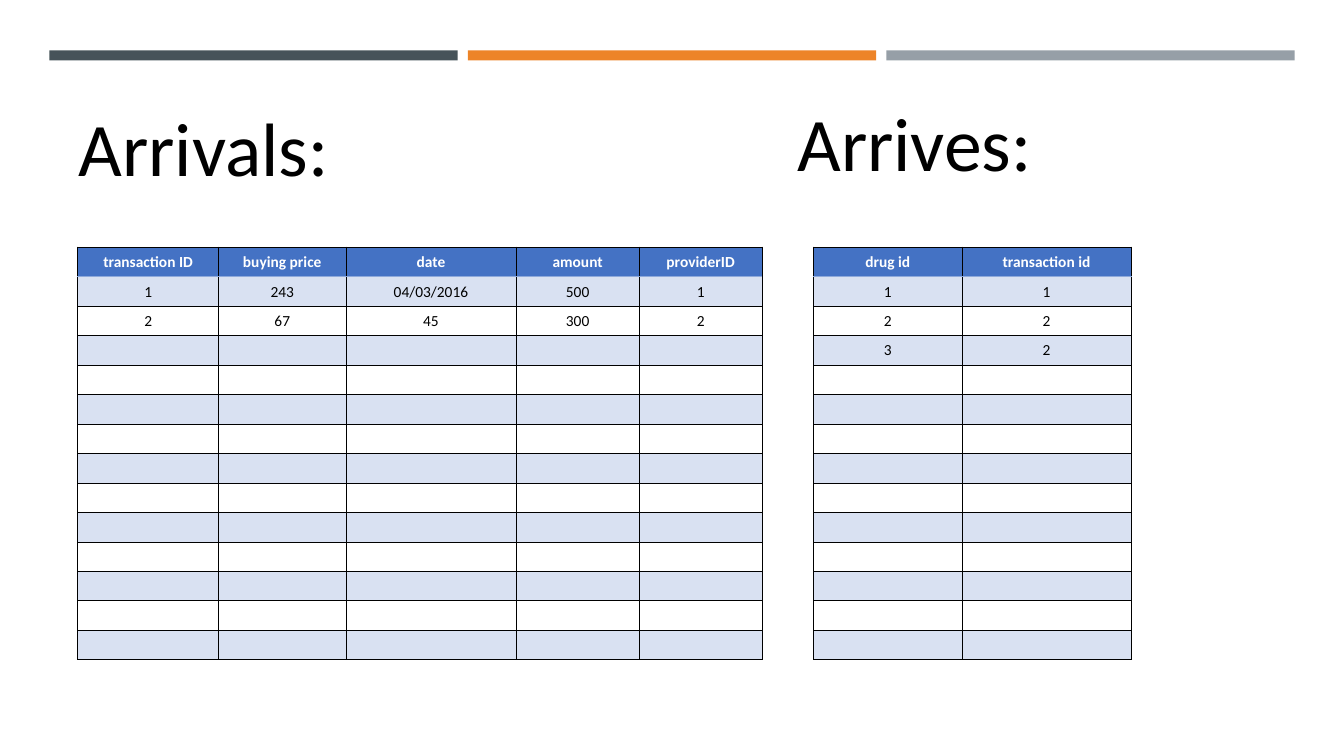
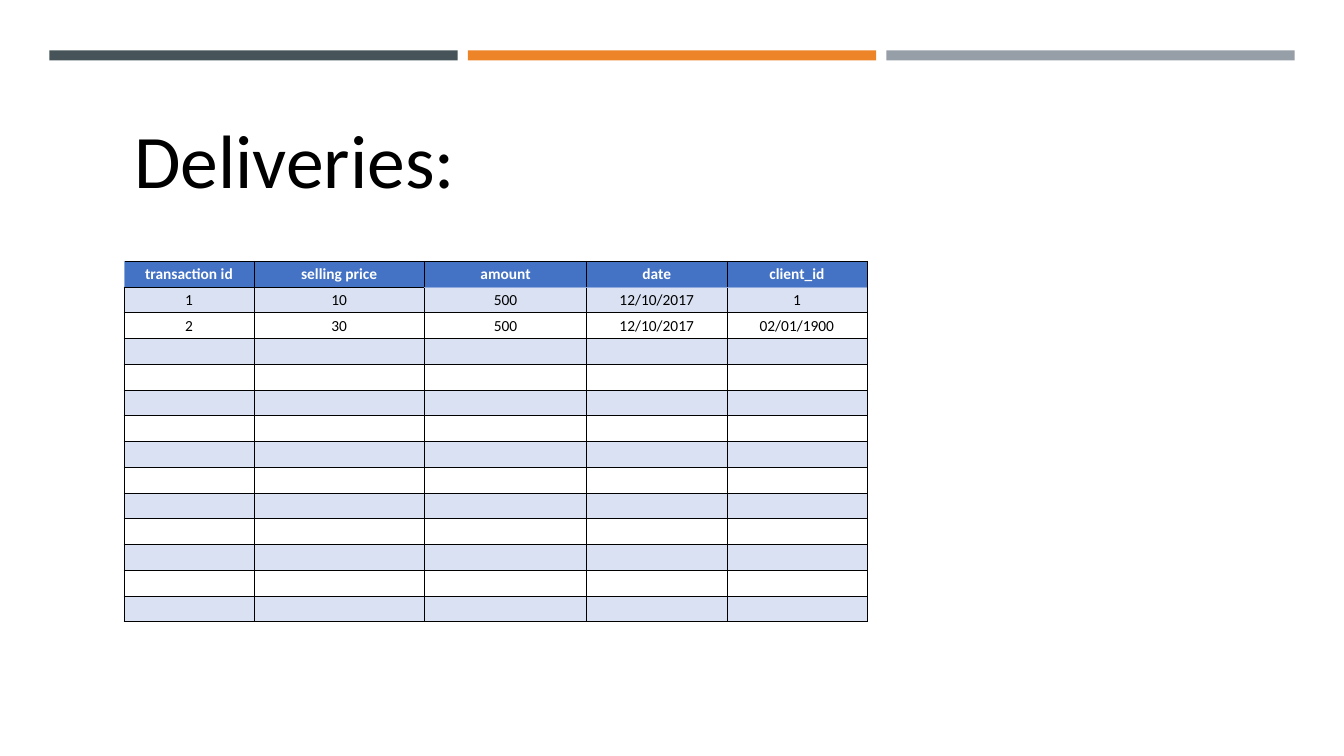
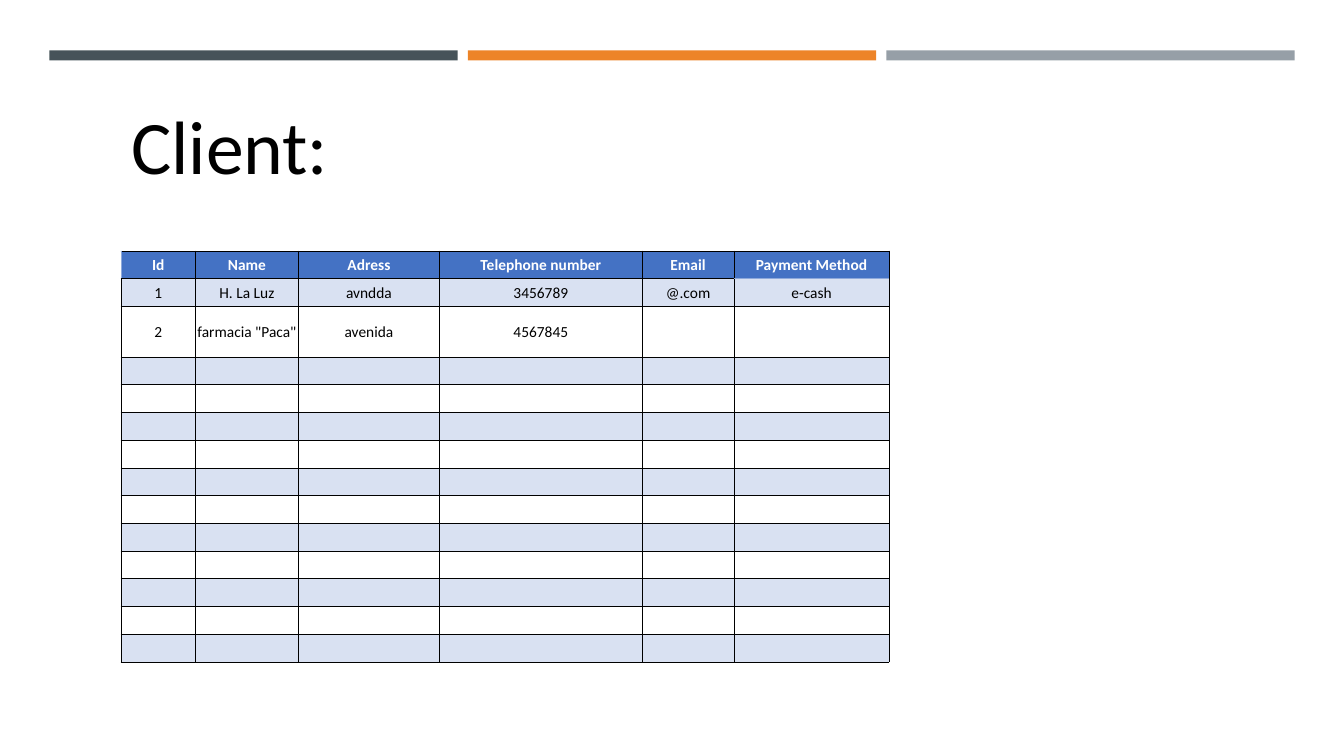
from dataclasses import dataclass

from lxml import etree
from pptx import Presentation
from pptx.dml.color import RGBColor
from pptx.enum.shapes import MSO_SHAPE
from pptx.enum.text import MSO_ANCHOR, MSO_AUTO_SIZE, PP_ALIGN
from pptx.oxml.ns import qn
from pptx.util import Inches, Pt

RECTANGLE = MSO_SHAPE.RECTANGLE
TOP, MIDDLE = MSO_ANCHOR.TOP, MSO_ANCHOR.MIDDLE
LEFT, CENTER = PP_ALIGN.LEFT, PP_ALIGN.CENTER
FIXED_SIZE = MSO_AUTO_SIZE.NONE


@dataclass(frozen=True)
class Theme:
    font: str = "Calibri"
    heading_size: int = 54
    cell_size: int = 11
    border_width: float = 0.5
    bands: tuple = ("465359", "ED8428", "969FA7")
    text: str = "000000"
    header_text: str = "FFFFFF"
    header_fill: str = "4472C4"
    row_fills: tuple = ("FFFFFF", "D9E1F2")
    border: str = "000000"
    soft_border: str = "8EA9DB"


THEME = Theme()
ROW_COUNT = 14
HEADING_HEIGHT = 1.01

# Each table: heading and its left, top, width; table left, top, height;
# column widths; text rows; columns with a soft line under the header;
# whether the header starts with a soft left line; heights of special rows.
PAGES = [
    [
        dict(
            heading="Arrivals:", heading_at=(0.68, 0.95, 2.9),
            at=(0.77, 2.45), height=4.1,
            columns=[1.4, 1.26, 1.69, 1.22, 1.22],
            rows=[
                ["transaction ID", "buying price", "date", "amount", "providerID"],
                ["1", "243", "04/03/2016", "500", "1"],
                ["2", "67", "45", "300", "2"],
            ],
            soft_columns={0, 1, 2, 3, 4}, soft_left=False, tall_rows={},
        ),
        dict(
            heading="Arrives:", heading_at=(7.81, 0.9, 2.7),
            at=(8.07, 2.45), height=4.1,
            columns=[1.47, 1.68],
            rows=[["drug id", "transaction id"], ["1", "1"], ["2", "2"], ["3", "2"]],
            soft_columns={0, 1}, soft_left=False, tall_rows={},
        ),
    ],
    [
        dict(
            heading="Deliveries:", heading_at=(1.23, 1.07, 4.36),
            at=(1.23, 2.59), height=3.58,
            columns=[1.29, 1.69, 1.61, 1.39, 1.39],
            rows=[
                ["transaction id", "selling price", "amount", "date", "client_id"],
                ["1", "10", "500", "12/10/2017", "1"],
                ["2", "30", "500", "12/10/2017", "02/01/1900"],
            ],
            soft_columns={2, 3, 4}, soft_left=True, tall_rows={},
        ),
    ],
    [
        dict(
            heading="Client:", heading_at=(1.2, 0.93, 4.84),
            at=(1.2, 2.49), height=4.08,
            columns=[0.74, 1.02, 1.4, 2.01, 0.91, 1.54],
            rows=[
                ["Id", "Name", "Adress", "Telephone number", "Email", "Payment Method"],
                ["1", "H. La Luz", "avndda", "3456789", "@.com", "e-cash"],
                ["2", 'farmacia "Paca"', "avenida", "4567845"],
            ],
            soft_columns={5}, soft_left=True, tall_rows={2: 0.5},
        ),
    ],
]


def add_span(para, text, size, color, bold=False):
    span = para.add_run()
    span.text = text
    span.font.name = THEME.font
    span.font.size = Pt(size)
    span.font.bold = bold
    span.font.color.rgb = RGBColor.from_string(color)


def add_border(cell, side, color):
    """Draw one cell border; side is L, R, T or B, called in that order before the fill."""
    properties = cell._tc.get_or_add_tcPr()
    line = etree.SubElement(properties, qn(f"a:ln{side}"), w=str(Pt(THEME.border_width)))
    fill = etree.SubElement(line, qn("a:solidFill"))
    etree.SubElement(fill, qn("a:srgbClr"), val=color)


deck = Presentation()
deck.slide_width, deck.slide_height = Inches(13.33), Inches(7.5)
layout = deck.slide_layouts.get_by_name("Title Only")

for page_number, tables in enumerate(PAGES):
    page = deck.slides.add_slide(layout)

    # The bands are drawn once and moved to the shared layout.
    if page_number == 0:
        for index, color in enumerate(THEME.bands):
            band = page.shapes.add_shape(
                RECTANGLE, Inches(0.49 + index * 4.15), Inches(0.5), Inches(4.05), Inches(0.1)
            )
            band.shadow.inherit = False
            band.fill.solid()
            band.fill.fore_color.rgb = RGBColor.from_string(color)
            band.line.fill.background()
            layout.shapes.element.append(band.element)

    for table_number, content in enumerate(tables):
        left, top, width = (Inches(value) for value in content["heading_at"])
        if table_number == 0:
            heading = page.shapes.title
            heading.left, heading.top = left, top
            heading.width, heading.height = width, Inches(HEADING_HEIGHT)
        else:
            heading = page.shapes.add_textbox(left, top, width, Inches(HEADING_HEIGHT))
        frame = heading.text_frame
        frame.word_wrap = True
        frame.auto_size = FIXED_SIZE
        frame.vertical_anchor = TOP
        para = frame.paragraphs[0]
        para.alignment = LEFT
        add_span(para, content["heading"], THEME.heading_size, THEME.text)

        columns, tall_rows = content["columns"], content["tall_rows"]
        left, top = (Inches(value) for value in content["at"])
        table = page.shapes.add_table(
            ROW_COUNT, len(columns), left, top, Inches(sum(columns)), Inches(content["height"])
        ).table
        table.horz_banding = False
        for column, width in zip(table.columns, columns):
            column.width = Inches(width)
        row_height = (content["height"] - sum(tall_rows.values())) / (ROW_COUNT - len(tall_rows))

        for row_index, row in enumerate(table.rows):
            row.height = Inches(tall_rows.get(row_index, row_height))
            is_header = row_index == 0
            texts = content["rows"][row_index] if row_index < len(content["rows"]) else []
            for column_index, cell in enumerate(row.cells):
                cell.margin_left = cell.margin_right = cell.margin_top = Inches(0.01)
                cell.margin_bottom = 0
                cell.vertical_anchor = MIDDLE

                soft_sides = set()
                if column_index in content["soft_columns"] and row_index < 2:
                    soft_sides.add("B" if is_header else "T")
                if is_header and column_index == 0 and content["soft_left"]:
                    soft_sides.add("L")
                for side in "LRTB":
                    add_border(cell, side, THEME.soft_border if side in soft_sides else THEME.border)
                cell.fill.solid()
                cell.fill.fore_color.rgb = RGBColor.from_string(
                    THEME.header_fill if is_header else THEME.row_fills[row_index % 2]
                )

                para = cell.text_frame.paragraphs[0]
                para.alignment = CENTER
                if column_index < len(texts):
                    color = THEME.header_text if is_header else THEME.text
                    add_span(para, texts[column_index], THEME.cell_size, color, is_header)
                else:
                    # Keeps empty rows from growing to the default type size.
                    etree.SubElement(para._p, qn("a:endParaRPr"), sz=str(THEME.cell_size * 100))

deck.save("out.pptx")
